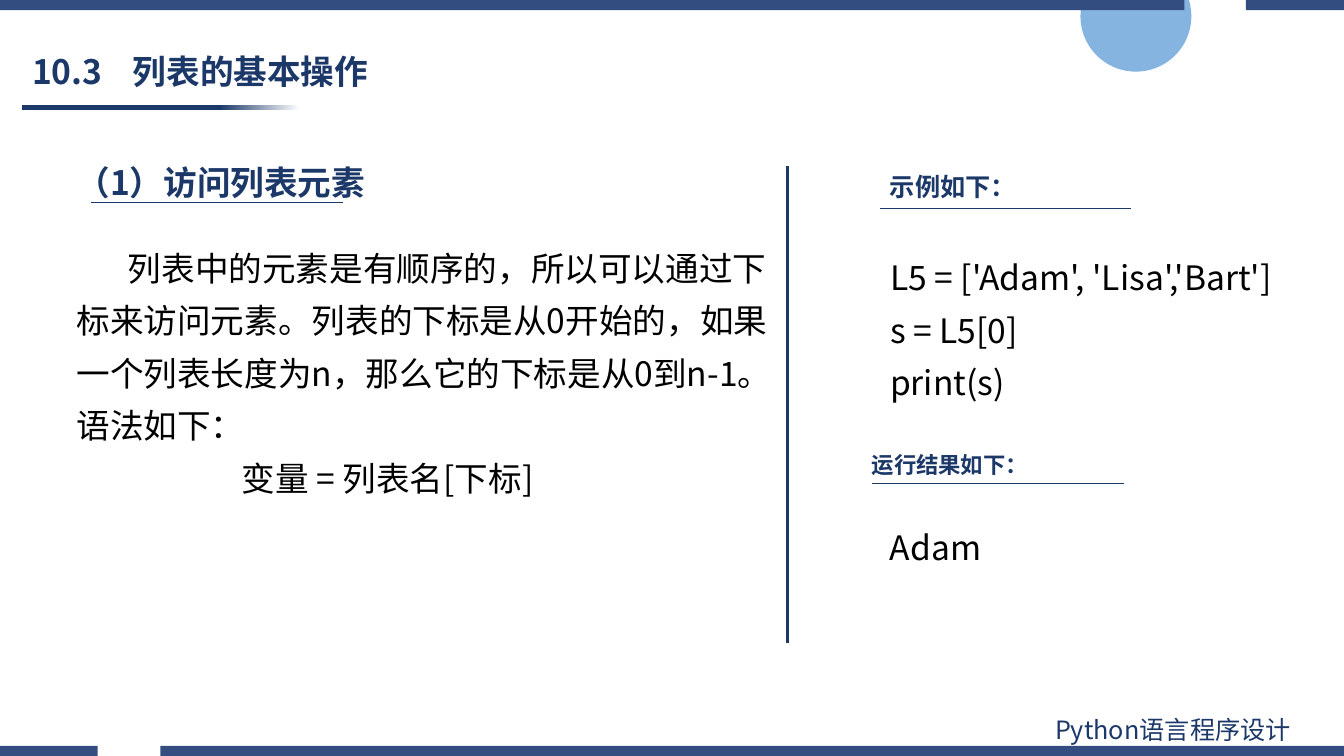
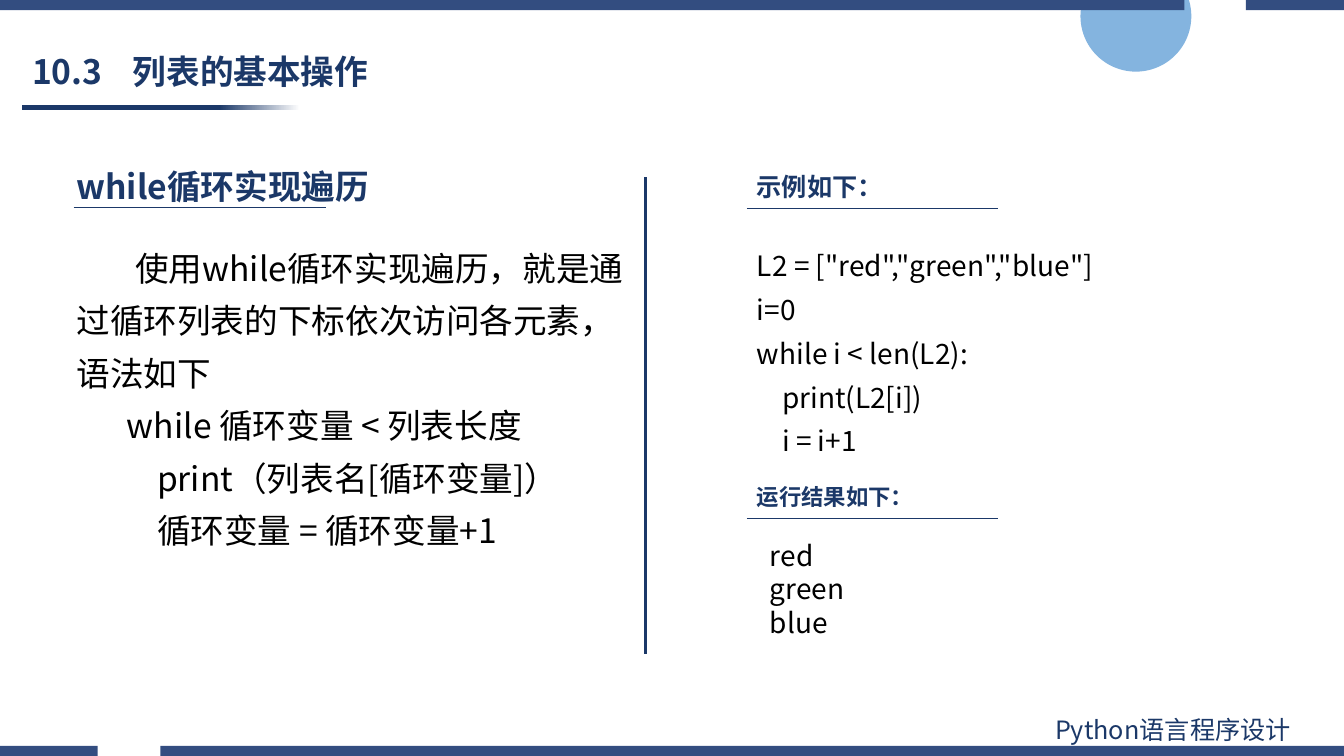
from lxml import etree
from pptx import Presentation
from pptx.dml.color import RGBColor
from pptx.enum import shapes, text
from pptx.oxml import ns
from pptx.util import Pt

NAVY, BAND, SKY, BLACK, WHITE = "1B3868", "334D80", "5B9BD5", "000000", "FFFFFF"
FONT = "Noto Sans CJK SC"
WIDTH, HEIGHT, BAND_HEIGHT = 960, 540, 7.2


def rgb(value):
    return RGBColor.from_string(value)


def write(frame, lines, size, color=NAVY, bold=False, spacing=1.0):
    """Fill a frame; each line is (text, left margin, first-line indent)."""
    frame.word_wrap = True
    frame.auto_size = text.MSO_AUTO_SIZE.NONE
    frame.text = "\n".join(line for line, _, _ in lines)
    for paragraph, (line, margin, indent) in zip(frame.paragraphs, lines):
        props = paragraph._p.get_or_add_pPr()
        props.set("marL", str(Pt(margin)))
        props.set("indent", str(Pt(indent)))
        etree.SubElement(props, ns.qn("a:buNone"))
        if "\t" in line:
            tabs = etree.SubElement(props, ns.qn("a:tabLst"))
            etree.SubElement(tabs, ns.qn("a:tab"), pos=str(Pt(66.5)), algn="l")
        paragraph.alignment = text.PP_ALIGN.LEFT
        paragraph.space_before = Pt(0)
        paragraph.line_spacing = spacing
        font = paragraph.font
        font.size, font.bold, font.name = Pt(size), bold, FONT
        font.color.rgb = rgb(color)
        etree.SubElement(font._rPr, ns.qn("a:ea"), typeface=FONT)


# Content: boxes are (left, top, width, height), rules (left, top, right, bottom)
lessons = [
    {
        "heading": ("（1）访问列表元素", (47.5, 112.3, 244.8, 36)),
        "explanation": (
            [("列表中的元素是有顺序的，所以可以通过下标来访问元素。列表的下标是从0开始的，"
              "如果一个列表长度为n，那么它的下标是从0到n-1。语法如下：", 0, 36.6),
             ("变量 = 列表名[下标]", 0, 118)],
            (47.5, 164.9, 514.8, 196.6)),
        "example_label": (628.6, 118.8, 244.8, 28.8),
        "code": (["L5 = ['Adam', 'Lisa','Bart']", "s = L5[0]", "print(s)"],
                 24, (628.6, 171.4, 314.6, 164.9)),
        "result_label": (615.6, 319, 244.8, 26.6),
        "result": (["Adam"], 24, (628.6, 373, 224.6, 36)),
        "divider": (562.3, 118.8, 562.3, 459.4),
        "underlines": [(64.8, 144.7, 244.8, 144.7), (628.6, 149, 807.8, 149),
                       (622.8, 345.2, 802.8, 345.2)],
    },
    {
        "heading": ("while循环实现遍历", (47.5, 115.2, 244.8, 36)),
        "explanation": (
            [("使用while循环实现遍历，就是通过循环列表的下标依次访问各元素，语法如下", 0, 42),
             ("while 循环变量 < 列表长度", 36, 0),
             ("    print（列表名[循环变量]）", 36, 0),
             ("    循环变量 = 循环变量+1", 36, 0)],
            (47.5, 164.9, 411.1, 234)),
        "example_label": (533.5, 118.8, 244.8, 28.8),
        "code": (['L2 = ["red","green","blue"]', "i=0", "while i < len(L2):",
                  "    print(L2[i])", "    i = i+1"],
                 20, (533.5, 167, 284.4, 202.3)),
        "result_label": (533.5, 341.3, 244.8, 26.6),
        "result": (["red", "green", "blue"], 20, (542.9, 380.9, 138.2, 79.9)),
        "divider": (460.8, 126.7, 460.8, 467.3),
        "underlines": [(52.6, 148.3, 232.6, 148.3), (533.5, 149, 712.8, 149),
                       (533.5, 370.1, 712.8, 370.1)],
    },
]

prs = Presentation()
prs.slide_width, prs.slide_height = Pt(WIDTH), Pt(HEIGHT)
layout = prs.slide_layouts[3]
title_area = layout.placeholders[0]
title_area.left, title_area.top = Pt(15.8), Pt(32.4)
title_area.width, title_area.height = Pt(434.9), Pt(40.3)
slides = [prs.slides.add_slide(layout) for _ in lessons]

# Shared decoration: drawn once, then moved to the layout
canvas = slides[0].shapes
circle = canvas.add_shape(shapes.MSO_SHAPE.OVAL, Pt(771.8), Pt(-28), Pt(79.2), Pt(79.2))
circle.fill.solid()
circle.fill.fore_color.rgb = rgb(SKY)
sky_fill = circle.element.spPr.find(".//" + ns.qn("a:srgbClr"))
etree.SubElement(sky_fill, ns.qn("a:alpha"), val="75000")

title_rule = canvas.add_shape(shapes.MSO_SHAPE.RECTANGLE, Pt(15.5), Pt(75.2), Pt(198.7), Pt(3.6))
title_rule.fill.gradient()
title_rule.fill.gradient_angle = 0
for stop, position, color in zip(title_rule.fill.gradient_stops, (0.71, 1), (NAVY, WHITE)):
    stop.position = position
    stop.color.rgb = rgb(color)

decoration = [circle, title_rule]
for top, spans in ((HEIGHT - BAND_HEIGHT, ((114.5, WIDTH), (0, 69.8))),
                   (0, ((0, 846), (889.9, WIDTH)))):
    bottom = top + BAND_HEIGHT
    outline = canvas.build_freeform(Pt(spans[0][0]), Pt(top))
    for left, right in spans:
        outline.move_to(Pt(left), Pt(top))
        outline.add_line_segments([(Pt(right), Pt(top)), (Pt(right), Pt(bottom)),
                                   (Pt(left), Pt(bottom))], close=True)
    band = outline.convert_to_shape()
    band.fill.solid()
    band.fill.fore_color.rgb = rgb(BAND)
    decoration.append(band)
for part in decoration:
    part.line.fill.background()
    part.shadow.inherit = False

course = canvas.add_textbox(Pt(746.6), Pt(506.9), Pt(211.7), Pt(28.8))
write(course.text_frame, [("Python语言程序设计", 0, 0)], 18)
for number, part in enumerate(decoration + [course], 101):
    part.element.xpath(".//p:cNvPr")[0].set("id", str(number))
    layout.shapes.element.append(part.element)

for slide, lesson in zip(slides, lessons):
    # Title
    write(slide.shapes.title.text_frame, [("10.3\t列表的基本操作", 0, 0)], 24, bold=True, spacing=0.9)

    # Explanation and example code
    explanation, explanation_box = lesson["explanation"]
    code, code_size, code_box = lesson["code"]
    code_lines = [(line, 0, 0) for line in code]
    for index, lines, size, box in ((1, explanation, 24, explanation_box),
                                    (2, code_lines, code_size, code_box)):
        body = slide.placeholders[index]
        body.left, body.top, body.width, body.height = map(Pt, box)
        write(body.text_frame, lines, size, BLACK, spacing=1.3)

    # Headings and program output
    heading, heading_box = lesson["heading"]
    result, result_size, result_box = lesson["result"]
    for lines, size, color, box in (
            ([heading], 24, NAVY, heading_box),
            (["示例如下："], 18, NAVY, lesson["example_label"]),
            (["运行结果如下："], 16, NAVY, lesson["result_label"]),
            (result, result_size, BLACK, result_box)):
        label = slide.shapes.add_textbox(*map(Pt, box))
        write(label.text_frame, [(line, 0, 0) for line in lines], size, color, bold=color == NAVY)

    # Divider and underlines
    rules = [(lesson["divider"], 2)] + [(ends, 0.5) for ends in lesson["underlines"]]
    for ends, weight in rules:
        rule = slide.shapes.add_connector(shapes.MSO_CONNECTOR.STRAIGHT, *map(Pt, ends))
        rule.line.color.rgb = rgb(NAVY)
        rule.line.width = Pt(weight)
        etree.SubElement(rule.element.spPr, ns.qn("a:effectLst"))

prs.save("out.pptx")
